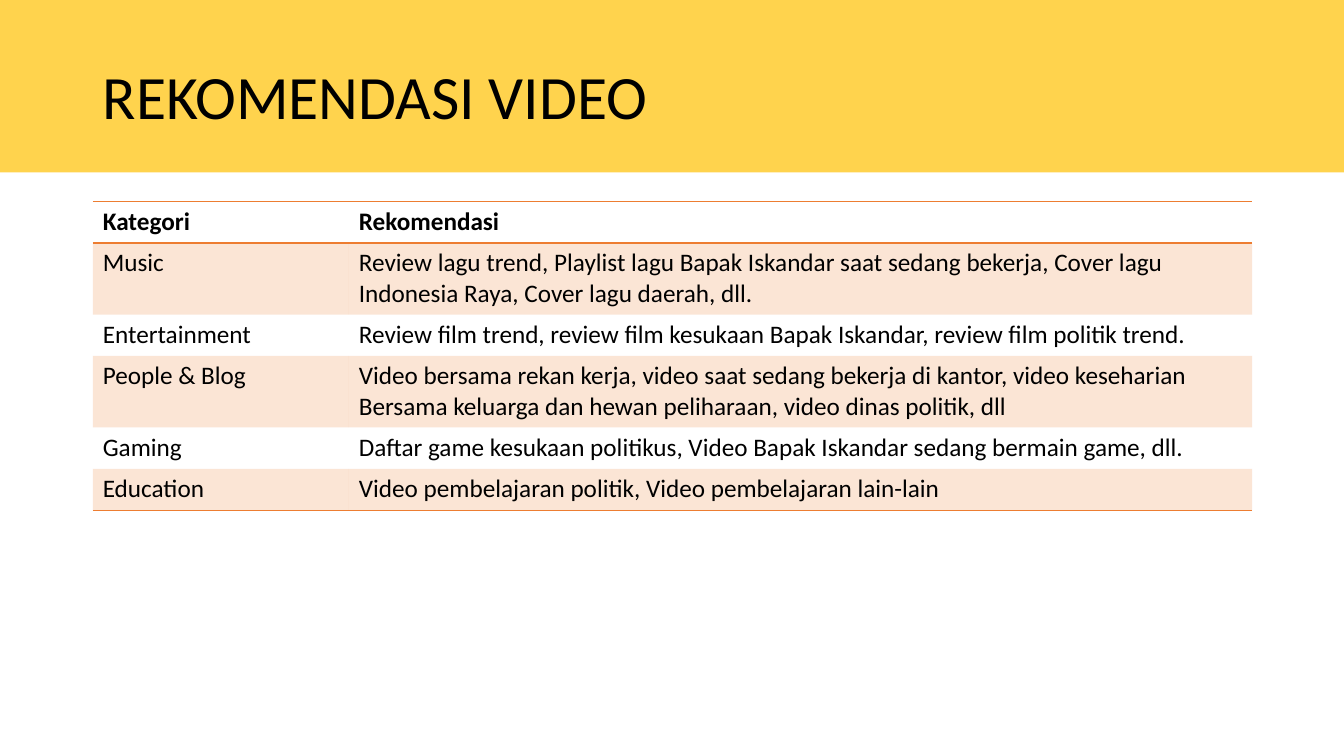
import lxml.etree
import pptx
import pptx.dml.color
import pptx.enum.shapes
import pptx.enum.text
import pptx.oxml
import pptx.oxml.ns
import pptx.util

Inches = pptx.util.Inches
Pt = pptx.util.Pt
RGBColor = pptx.dml.color.RGBColor

YELLOW = RGBColor(0xFF, 0xD3, 0x4D)
ORANGE = RGBColor(0xED, 0x7D, 0x31)
BLACK = RGBColor(0, 0, 0)

FONT = "Calibri"
NO_STYLE_NO_GRID = "{2D5ABB26-0587-4C30-8999-92F81FD0307C}"
LEFT, CONTENT_WIDTH = 0.92, 11.5
BAND_HEIGHT = 1.71
COLUMN_WIDTHS = (2.54, 8.96)
ROW_HEIGHT = 0.41

ROWS = [
    ("Kategori", "Rekomendasi"),
    ("Music", "Review lagu trend, Playlist lagu Bapak Iskandar saat sedang bekerja, "
              "Cover lagu Indonesia Raya, Cover lagu daerah, dll."),
    ("Entertainment", "Review film trend, review film kesukaan Bapak Iskandar, "
                      "review film politik trend."),
    ("People & Blog", "Video bersama rekan kerja, video saat sedang bekerja di kantor, "
                      "video keseharian Bersama keluarga dan hewan peliharaan, "
                      "video dinas politik, dll"),
    ("Gaming", "Daftar game kesukaan politikus, Video Bapak Iskandar sedang bermain game, dll."),
    ("Education", "Video pembelajaran politik, Video pembelajaran lain-lain"),
]


def apply_format(target, values):
    for name, value in values.items():
        setattr(target, name, value)


def write_text(frame, text, size, bold=False):
    para = frame.paragraphs[0]
    span = para.add_run()
    span.text = text
    apply_format(span.font, {"name": FONT, "size": Pt(size), "bold": bold})
    span.font.color.rgb = BLACK
    return para


def add_band(page, width):
    band = page.shapes.add_shape(pptx.enum.shapes.MSO_SHAPE.RECTANGLE,
                                 0, 0, width, Inches(BAND_HEIGHT))
    band.shadow.inherit = False
    band.fill.solid()
    band.fill.fore_color.rgb = YELLOW
    band.line.fill.background()
    return band


def place_title(page, text):
    title = page.shapes.title
    apply_format(title, {"left": Inches(LEFT), "top": Inches(0.26),
                         "width": Inches(CONTENT_WIDTH), "height": Inches(1.45)})
    frame = title.text_frame
    apply_format(frame, {"word_wrap": True,
                         "vertical_anchor": pptx.enum.text.MSO_ANCHOR.MIDDLE})
    para = write_text(frame, text, 44)
    apply_format(para, {"line_spacing": 0.9, "alignment": pptx.enum.text.PP_ALIGN.LEFT})
    return title


def add_border(cell, side):
    namespace = pptx.oxml.ns.nsdecls("a")
    cell._tc.get_or_add_tcPr().append(pptx.oxml.parse_xml(
        f'<a:{side} {namespace} w="{Pt(1)}"><a:solidFill>'
        f'<a:srgbClr val="{ORANGE}"/></a:solidFill></a:{side}>'))


def tint_cell(cell, percent):
    cell.fill.solid()
    cell.fill.fore_color.rgb = ORANGE
    color = cell._tc.tcPr.find("a:solidFill/a:srgbClr", pptx.oxml.ns._nsmap)
    lxml.etree.SubElement(color, pptx.oxml.ns.qn("a:alpha"), val=str(percent * 1000))


def add_recommendations(page):
    frame = page.shapes.add_table(
        len(ROWS), len(COLUMN_WIDTHS), Inches(LEFT), Inches(2),
        Inches(CONTENT_WIDTH), Inches(ROW_HEIGHT * len(ROWS)))
    table = frame.table
    apply_format(table, {"first_row": True, "horz_banding": True})
    table._tbl.tblPr.find(pptx.oxml.ns.qn("a:tableStyleId")).text = NO_STYLE_NO_GRID
    for column, width in zip(table.columns, COLUMN_WIDTHS):
        column.width = Inches(width)

    for row_index, texts in enumerate(ROWS):
        is_header = row_index == 0
        for column_index, text in enumerate(texts):
            cell = table.cell(row_index, column_index)
            write_text(cell.text_frame, text, 18, bold=is_header)
            # Rules frame the header and close the table
            if is_header:
                add_border(cell, "lnT")
            if is_header or row_index == len(ROWS) - 1:
                add_border(cell, "lnB")
            # Every other row is tinted
            if row_index % 2:
                tint_cell(cell, 20)
            else:
                cell.fill.background()


def main():
    deck = pptx.Presentation()
    apply_format(deck, {"slide_width": Inches(13.33), "slide_height": Inches(7.5)})
    page = deck.slides.add_slide(deck.slide_layouts.get_by_name("Title Only"))

    # Heading on its yellow band
    title = place_title(page, "REKOMENDASI VIDEO")
    band = add_band(page, deck.slide_width)
    title.element.addprevious(band.element)

    # Recommendations by category
    add_recommendations(page)

    deck.save("out.pptx")


main()
